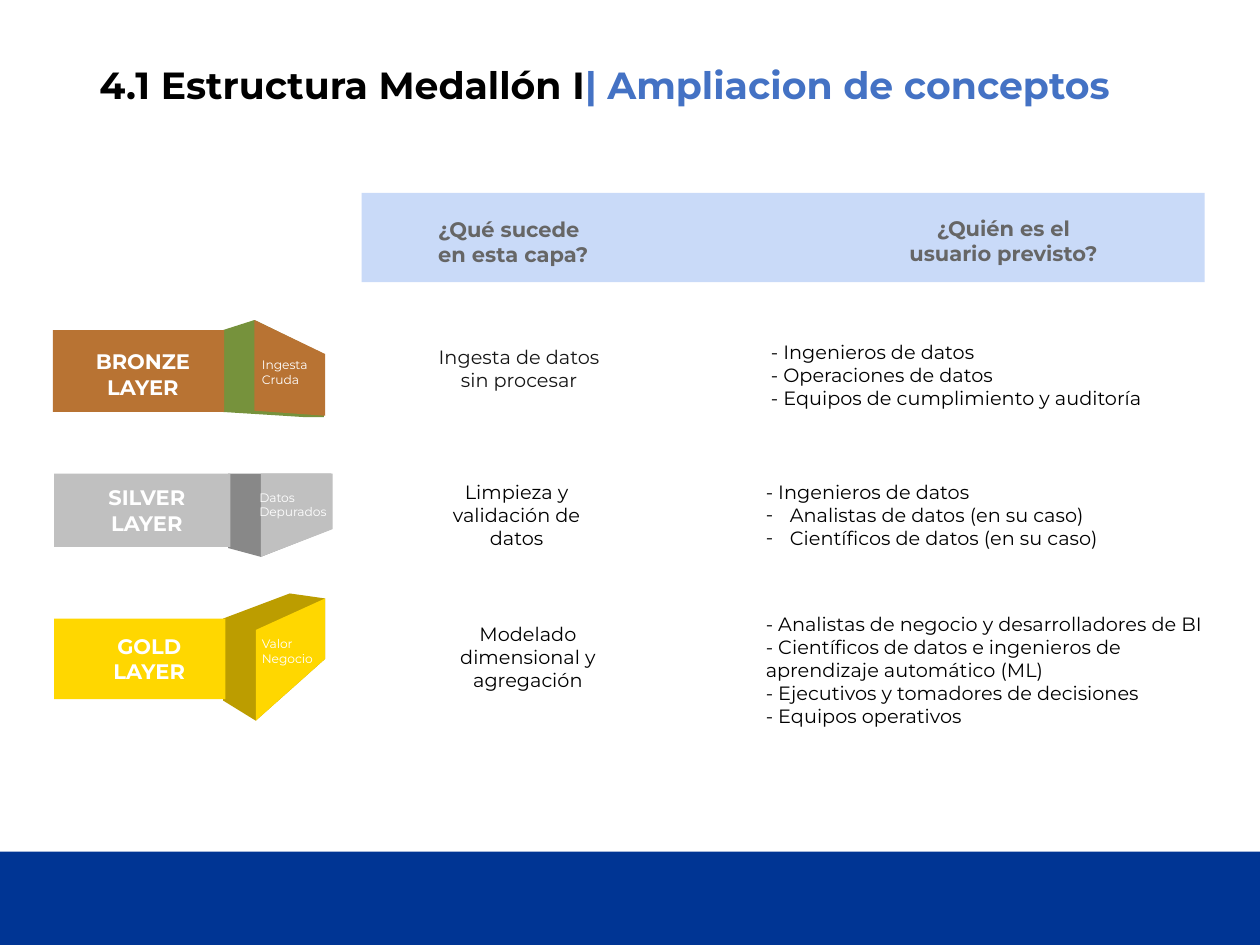
"""Build the medallion architecture slide: layers, what happens in each, and who uses it."""
from dataclasses import dataclass

from lxml import etree
from pptx import Presentation
from pptx import util as u
from pptx.dml.color import RGBColor
from pptx.enum import shapes, text
from pptx.oxml.ns import qn

LEFT, CENTER = text.PP_ALIGN.LEFT, text.PP_ALIGN.CENTER


@dataclass(frozen=True)
class Theme:
    """Colours, font and type sizes."""
    font: str = "Montserrat"
    title: float = 21.6
    label: float = 12
    body: float = 11
    small: float = 7
    black: str = "000000"
    ink: str = "161616"
    grey: str = "666666"
    white: str = "FFFFFF"
    accent: str = "4472C4"
    header: str = "C9DAF8"
    footer: str = "003594"
    bronze: str = "B87333"
    bronze_side: str = "76923C"
    silver: str = "C0C0C0"
    silver_side: str = "888888"
    gold: str = "FFD700"
    gold_side: str = "BC9D00"


def add_run(p, words, font, size, color, bold=False):
    """Append a formatted run to a paragraph."""
    r = p.add_run()
    r.text = words
    r.font.name, r.font.size, r.font.bold = font, u.Pt(size), bold
    r.font.color.rgb = RGBColor.from_string(color)


class SlideBuilder:
    """Holds the theme and the current slide."""

    def __init__(self, s, theme):
        self.s, self.theme = s, theme

    def paint(self, sp, color):
        """Give a shape a flat fill with no line or shadow."""
        sp.shadow.inherit = False
        sp.fill.solid()
        sp.fill.fore_color.rgb = RGBColor.from_string(color)
        sp.line.fill.background()

    def rect(self, at, color):
        """Add a plain rectangle."""
        kind = shapes.MSO_SHAPE.RECTANGLE
        self.paint(self.s.shapes.add_shape(kind, *map(u.Inches, at)), color)

    def polygon(self, points, color):
        """Add a closed outline through points in inches."""
        start, *rest = [(u.Inches(x), u.Inches(y)) for x, y in points]
        fb = self.s.shapes.build_freeform(*start)
        fb.add_line_segments(rest, close=True)
        self.paint(fb.convert_to_shape(), color)

    def frame(self, at):
        """Add a wrapping text box and return its text frame."""
        tf = self.s.shapes.add_textbox(*map(u.Inches, at)).text_frame
        tf.word_wrap = True
        return tf

    def text(self, at, lines, size, color, bold=False, align=LEFT, bullets_from=None):
        """Add one paragraph per line, bulleted from the given index on."""
        tf = self.frame(at)
        for i, line in enumerate(lines):
            p = tf.add_paragraph() if i else tf.paragraphs[0]
            p.alignment = align
            add_run(p, line, self.theme.font, size, color, bold)
            if bullets_from is not None and i >= bullets_from:
                self.bullet(p)

    def bullet(self, p):
        """Give a paragraph a hanging dash."""
        pPr = p._p.get_or_add_pPr()
        indent = u.Inches(0.19)
        pPr.set("marL", str(indent))
        pPr.set("indent", str(-indent))
        etree.SubElement(pPr, qn("a:buFont")).set("typeface", self.theme.font)
        etree.SubElement(pPr, qn("a:buChar")).set("char", "-")

    def title(self, at, parts):
        """Add a heading made of (words, colour) parts."""
        tf = self.frame(at)
        tf.vertical_anchor = text.MSO_ANCHOR.MIDDLE
        p = tf.paragraphs[0]
        p.line_spacing = 0.9
        for words, color in parts:
            add_run(p, words, self.theme.font, self.theme.title, color, True)

    def layer(self, name, note, bar, side, face, label_at, note_at, color, shade):
        """Add a folded ribbon: bar, shaded side, front face and labels."""
        t = self.theme
        self.polygon(side, shade)
        self.polygon(face, color)
        self.rect(bar, color)
        self.text(label_at, [name], t.label, t.white, bold=True, align=CENTER)
        self.text(note_at, note, t.small, t.white)


def main():
    """Build and save the slide."""
    prs = Presentation()
    prs.slide_width, prs.slide_height = u.Inches(10), u.Inches(7.5)
    t = Theme()
    b = SlideBuilder(prs.slides.add_slide(prs.slide_layouts[6]), t)

    b.rect((0, 6.76, 10, 0.74), t.footer)
    b.title((0.69, 0.4, 8.62, 0.59),
            [("4.1 Estructura Medallón I", t.black), ("| Ampliacion de conceptos", t.accent)])

    b.rect((2.87, 1.53, 6.69, 0.71), t.header)
    b.text((3.38, 1.67, 1.57, 0.5), ["¿Qué sucede en esta capa?"], t.label, t.grey, bold=True)
    b.text((7.03, 1.66, 1.87, 0.5), ["¿Quién es el usuario previsto?"], t.label, t.grey,
           bold=True, align=CENTER)

    b.layer("BRONZE LAYER", ["Ingesta Cruda"], (0.42, 2.62, 1.36, 0.65),
            [(2.02, 2.54), (2.57, 2.81), (2.57, 3.31), (2.41, 3.31), (1.77, 3.27), (1.77, 2.62)],
            [(2.58, 3.3), (2.02, 3.26), (2.02, 2.54), (2.58, 2.81)],
            (0.62, 2.72, 1.03, 0.5), (1.98, 2.79, 0.78, 0.34), t.bronze, t.bronze_side)
    b.layer("SILVER LAYER", ["Datos", "Depurados"], (0.43, 3.76, 1.4, 0.58),
            [(1.81, 3.76), (2.63, 3.76), (2.63, 4.2), (2.07, 4.42), (1.81, 4.35)],
            [(2.64, 4.2), (2.07, 4.42), (2.07, 3.76), (2.64, 3.76)],
            (0.64, 3.8, 1.05, 0.5), (1.96, 3.84, 0.9, 0.34), t.silver, t.silver_side)
    b.layer("GOLD LAYER", ["Valor", "Negocio"], (0.43, 4.91, 1.36, 0.64),
            [(2.3, 4.71), (2.58, 4.75), (2.58, 5.23), (2.03, 5.72), (1.77, 5.56), (1.77, 4.91)],
            [(2.58, 5.23), (2.03, 5.72), (2.03, 5), (2.58, 4.75)],
            (0.67, 4.98, 1.03, 0.5), (1.98, 5, 0.9, 0.34), t.gold, t.gold_side)

    for at, words, color in [
        ((3.31, 2.69, 1.62, 0.47), "Ingesta de datos sin procesar", t.ink),
        ((3.29, 3.76, 1.62, 0.66), "Limpieza y validación de datos", t.black),
        ((3.38, 4.89, 1.62, 0.66), "Modelado dimensional y agregación", t.black),
    ]:
        b.text(at, [words], t.body, color, align=CENTER)

    for at, users, bullets_from in [
        ((6.02, 2.65, 3.23, 0.66),
         ["- Ingenieros de datos", "- Operaciones de datos",
          "- Equipos de cumplimiento y auditoría"], None),
        ((5.98, 3.76, 2.92, 0.66),
         ["- Ingenieros de datos", "Analistas de datos (en su caso)",
          "Científicos de datos (en su caso)"], 1),
        ((5.98, 4.81, 3.67, 1.03),
         ["- Analistas de negocio y desarrolladores de BI",
          "- Científicos de datos e ingenieros de aprendizaje automático (ML)",
          "- Ejecutivos y tomadores de decisiones", "- Equipos operativos"], None),
    ]:
        b.text(at, users, t.body, t.black, bullets_from=bullets_from)

    prs.save("out.pptx")


if __name__ == "__main__":
    main()
